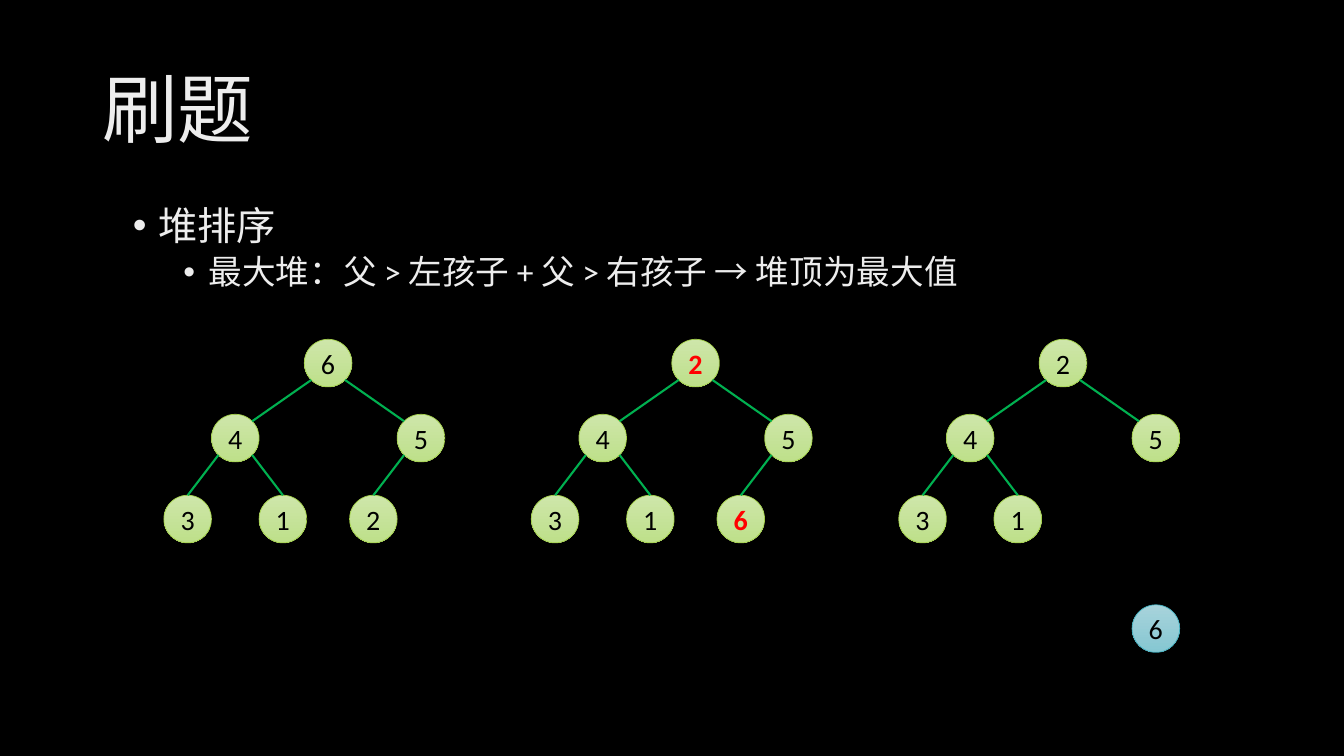
from lxml.etree import SubElement
from pptx import Presentation
from pptx.dml.color import RGBColor
from pptx.enum.shapes import MSO_CONNECTOR, MSO_SHAPE
from pptx.enum.text import MSO_ANCHOR, PP_ALIGN
from pptx.oxml.ns import qn
from pptx.util import Cm, Pt

# Content
TITLE = "刷题"
BULLETS = [  # text, size, left margin in cm, space before
    ("堆排序", 28, 0.64, 10),
    ("最大堆：父 > 左孩子 + 父 > 右孩子 → 堆顶为最大值", 24, 1.91, 5),
]
HEAPS = [  # values in level order, highlighted positions, value taken out
    ([6, 4, 5, 3, 1, 2], [], None),
    ([2, 4, 5, 3, 1, 6], [0, 5], None),
    ([2, 4, 5, 3, 1], [], 6),
]

# Style
FONT = "Calibri"
TEXT, BLACK, RED, EDGE = "EDEDED", "000000", "FF0000", "00B050"
GREEN = ("CEE6AA", "BEE08A", "A2CF49")  # top, bottom, outline
BLUE = ("A7D3DB", "86C7D2", "41AEBD")

# Geometry in cm
DIAMETER = 1.2
RADIUS = DIAMETER / 2
DIAGONAL = RADIUS * 0.5 ** 0.5
FIRST_ROOT, HEAP_STEP = 8.27, 9.26
ROWS = [9.15, 11.04, 13.08]
SPREAD = [0, 2.34, 1.2]  # sideways distance from the parent
REMOVED_ROW = 15.84


def color(value):
    return RGBColor.from_string(value)


def style_font(paragraph, size, value, bold=False):
    paragraph.font.name = FONT
    paragraph.font.size = Pt(size)
    paragraph.font.bold = bold
    paragraph.font.color.rgb = color(value)


def add_text_frame(left, top, width, height, anchor):
    box = slide.shapes.add_textbox(Cm(left), Cm(top), Cm(width), Cm(height))
    box.text_frame.word_wrap = True
    box.text_frame.vertical_anchor = anchor
    return box.text_frame


def add_node(shapes, x, y, value, palette=GREEN, highlighted=False):
    node = shapes.add_shape(MSO_SHAPE.OVAL, Cm(x - RADIUS), Cm(y - RADIUS),
                            Cm(DIAMETER), Cm(DIAMETER))
    node.shadow.inherit = False
    node.fill.gradient()
    node.fill.gradient_angle = 270
    for stop, value_hex in zip(node.fill.gradient_stops, palette):
        stop.color.rgb = color(value_hex)
    for stop, position in zip(node.fill.gradient_stops, (0, 1)):
        stop.position = position
    node.line.color.rgb = color(palette[2])
    node.line.width = Pt(0.5)
    frame = node.text_frame
    frame.word_wrap = False
    frame.vertical_anchor = MSO_ANCHOR.MIDDLE
    paragraph = frame.paragraphs[0]
    paragraph.text = str(value)
    paragraph.alignment = PP_ALIGN.CENTER
    style_font(paragraph, 20, RED if highlighted else BLACK, highlighted)
    return node


def add_edge(shapes, parent, child, child_node, side, is_leaf):
    end_x = child[0] if is_leaf else child[0] - side * DIAGONAL
    end_y = child[1] - (RADIUS if is_leaf else DIAGONAL)
    edge = shapes.add_connector(
        MSO_CONNECTOR.STRAIGHT,
        Cm(parent[0] + side * DIAGONAL), Cm(parent[1] + DIAGONAL),
        Cm(end_x), Cm(end_y))
    if is_leaf:
        edge.end_connect(child_node, 0)
    edge.line.color.rgb = color(EDGE)
    edge.line.width = Pt(1.5)
    SubElement(edge._element.spPr, qn("a:effectLst"))


def add_heap(root_x, values, highlights, removed):
    shapes = slide.shapes.add_group_shape().shapes
    centers, nodes = [], []
    for index, value in enumerate(values):
        level = (index + 1).bit_length() - 1
        side = -1 if index % 2 else 1
        parent_x = centers[(index - 1) // 2][0] if index else root_x
        centers.append((parent_x + side * SPREAD[level], ROWS[level]))
        nodes.append(add_node(shapes, *centers[index], value,
                              highlighted=index in highlights))
    for index in range(1, len(values)):
        add_edge(shapes, centers[(index - 1) // 2], centers[index],
                 nodes[index], -1 if index % 2 else 1, index > 2)
    if removed is not None:
        add_node(shapes, centers[2][0], REMOVED_ROW, removed, BLUE)


presentation = Presentation()
presentation.slide_width, presentation.slide_height = Cm(33.87), Cm(19.05)
slide = presentation.slides.add_slide(presentation.slide_layouts[6])
slide.background.fill.solid()
slide.background.fill.fore_color.rgb = color(BLACK)

# Title
title = add_text_frame(2.33, 1.01, 29.21, 3.68, MSO_ANCHOR.MIDDLE).paragraphs[0]
title.text = TITLE
title.line_spacing = 0.9
style_font(title, 54, TEXT)

# Bullets
body = add_text_frame(3.1, 5.08, 28.42, 12.09, MSO_ANCHOR.TOP)
for number, (text, size, margin, space) in enumerate(BULLETS):
    paragraph = body.add_paragraph() if number else body.paragraphs[0]
    paragraph.text = text
    paragraph.level = number
    paragraph.line_spacing = 0.9
    paragraph.space_before = Pt(space)
    style_font(paragraph, size, TEXT)
    properties = paragraph._p.get_or_add_pPr()
    properties.set("marL", str(Cm(margin)))
    properties.set("indent", str(-Cm(0.64)))
    bullet_font = properties.makeelement(qn("a:buFont"), {"typeface": "Arial"})
    bullet = properties.makeelement(qn("a:buChar"), {"char": "•"})
    properties.find(qn("a:defRPr")).addprevious(bullet_font)
    bullet_font.addnext(bullet)

# Heaps
for number, (values, highlights, removed) in enumerate(HEAPS):
    add_heap(FIRST_ROOT + number * HEAP_STEP, values, highlights, removed)

presentation.save("out.pptx")
